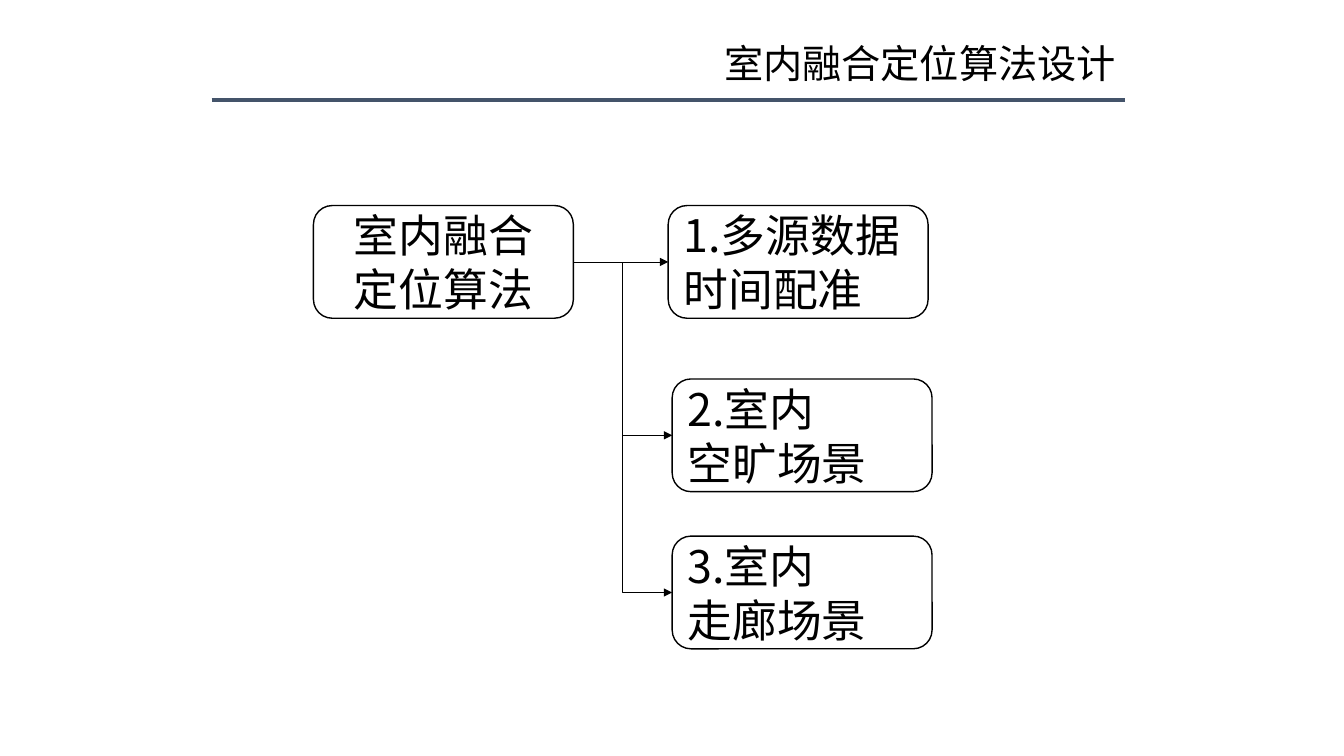
import dataclasses

import pptx
import pptx.dml.color
import pptx.enum.shapes
import pptx.enum.text
import pptx.oxml
import pptx.oxml.ns
import pptx.util

Cm = pptx.util.Cm
Pt = pptx.util.Pt
RGB = pptx.dml.color.RGBColor
ALIGN = pptx.enum.text.PP_ALIGN
ANCHOR = pptx.enum.text.MSO_ANCHOR
CONNECTOR = pptx.enum.shapes.MSO_CONNECTOR
LEFT, RIGHT = 1, 3


@dataclasses.dataclass(frozen=True)
class Theme:
    font: str = "Noto Sans CJK SC"
    ink: RGB = RGB(0x00, 0x00, 0x00)
    paper: RGB = RGB(0xFF, 0xFF, 0xFF)
    rule: RGB = RGB(0x44, 0x54, 0x6A)
    title_size: Pt = Pt(28)
    node_size: Pt = Pt(32)
    rule_width: Pt = Pt(3)
    border_width: Pt = Pt(1)
    arrow_width: Pt = Pt(0.5)


THEME = Theme()


def add_xml(parent, tag, **attrs):
    el = pptx.oxml.parse_xml(f"<a:{tag} {pptx.oxml.ns.nsdecls('a')}/>")
    for name, value in attrs.items():
        el.set(name, value)
    parent.append(el)


def write_lines(tf, lines, size, align):
    for i, text in enumerate(lines):
        p = tf.add_paragraph() if i else tf.paragraphs[0]
        p.text = text
        p.alignment = align
        p.font.size = size
        p.font.name = THEME.font
        p.font.color.rgb = THEME.ink
        add_xml(p.font._element, "ea", typeface=THEME.font)


def add_line(s, kind, ends, color, width):
    c = s.shapes.add_connector(kind, *ends)
    c.line.color.rgb = color
    c.line.width = width
    add_xml(c._element.spPr, "effectLst")
    return c


def add_header(s, x, y, w, title):
    sp = s.shapes.title
    sp.left, sp.top, sp.width, sp.height = x + Cm(0.18), y, Cm(22.86), Cm(1.55)
    tf = sp.text_frame
    tf.vertical_anchor = ANCHOR.BOTTOM
    write_lines(tf, [title], THEME.title_size, ALIGN.RIGHT)
    tf.paragraphs[0].line_spacing = 0.9
    rule_y = y + Cm(1.75)
    add_line(s, CONNECTOR.STRAIGHT, (x, rule_y, x + w, rule_y), THEME.rule, THEME.rule_width)


def add_node(s, x, y, lines, align):
    kind = pptx.enum.shapes.MSO_SHAPE.ROUNDED_RECTANGLE
    sp = s.shapes.add_shape(kind, x, y, Cm(6.55), Cm(2.84))
    sp.shadow.inherit = False
    sp.fill.solid()
    sp.fill.fore_color.rgb = THEME.paper
    sp.line.color.rgb = THEME.ink
    sp.line.width = THEME.border_width
    sp.text_frame.vertical_anchor = ANCHOR.MIDDLE
    write_lines(sp.text_frame, lines, THEME.node_size, align)
    return sp


def add_arrow(s, source, target):
    level = source.top == target.top
    kind = CONNECTOR.STRAIGHT if level else CONNECTOR.ELBOW
    c = add_line(s, kind, (0, 0, 0, 0), THEME.ink, THEME.arrow_width)
    c.begin_connect(source, RIGHT)
    c.end_connect(target, LEFT)
    add_xml(c.line._get_or_add_ln(), "tailEnd", type="triangle")


def add_tree(s, x, y, root, branches):
    source = add_node(s, x, y, root, ALIGN.CENTER)
    targets = [add_node(s, x + dx, y + dy, lines, ALIGN.LEFT) for dx, dy, lines in branches]
    for target in targets:
        add_arrow(s, source, target)


def main():
    prs = pptx.Presentation()
    prs.slide_width, prs.slide_height = Cm(33.87), Cm(19.05)
    s = prs.slides.add_slide(prs.slide_layouts[5])
    add_header(s, Cm(5.33), Cm(0.76), Cm(23.02), "室内融合定位算法设计")
    add_tree(s, Cm(7.9), Cm(5.18), ["室内融合", "定位算法"], [
        (Cm(8.94), Cm(0), ["1.多源数据", "时间配准"]),
        (Cm(9.04), Cm(4.37), ["2.室内", "空旷场景"]),
        (Cm(9.04), Cm(8.33), ["3.室内", "走廊场景"]),
    ])
    prs.save("out.pptx")


if __name__ == "__main__":
    main()
